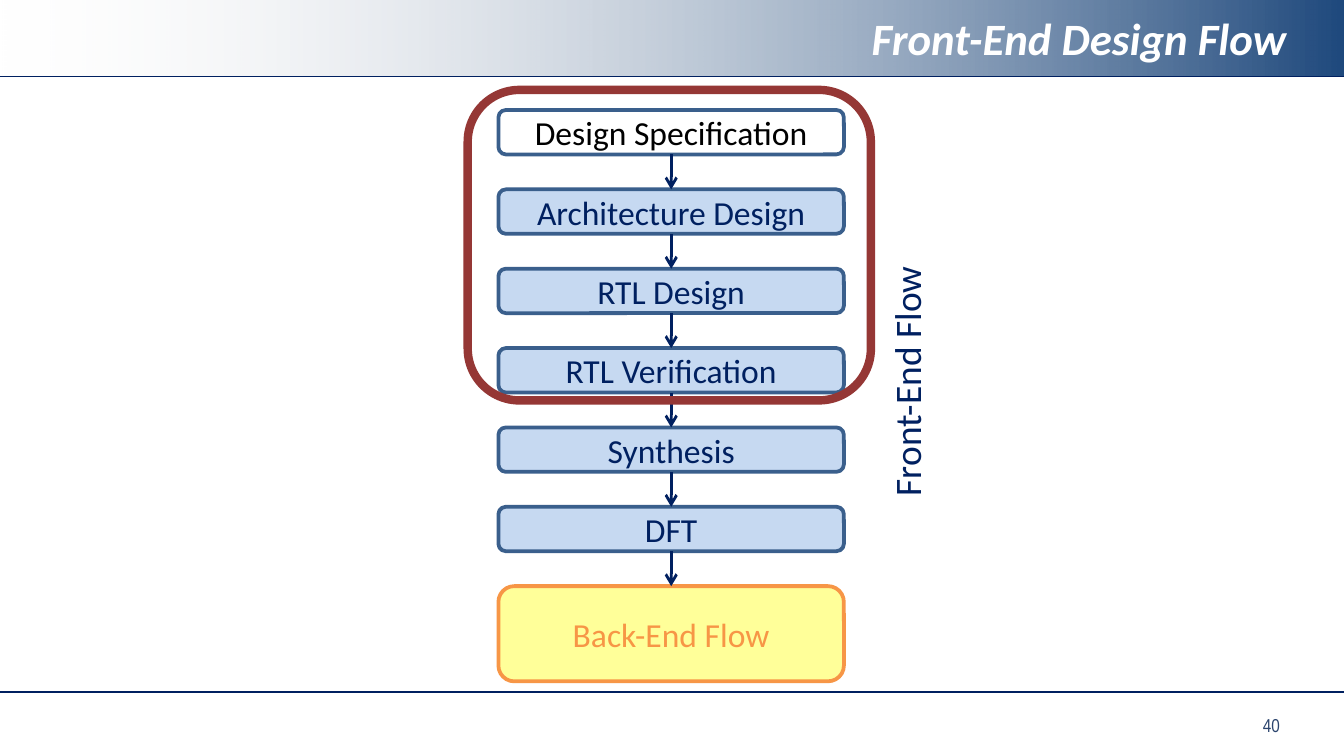
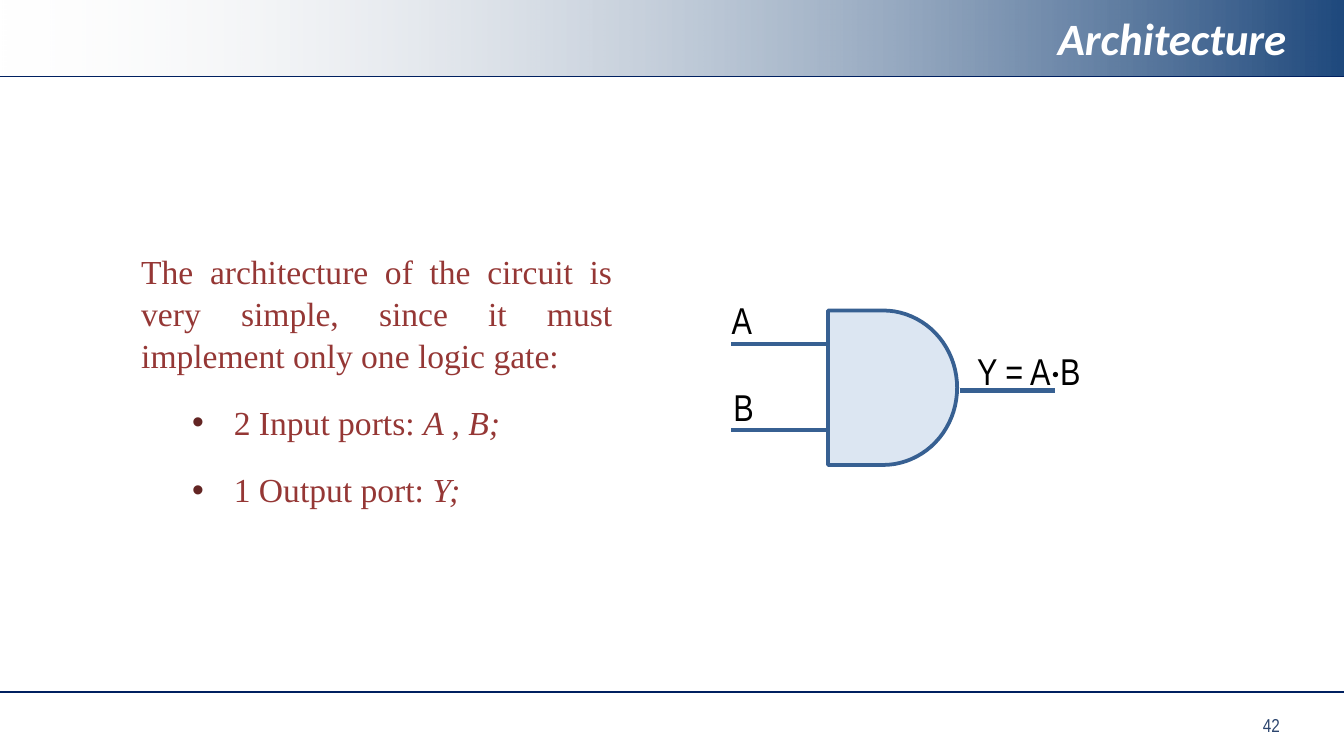
"""Build two slides on the front-end design flow and the architecture of an AND gate."""
import math
from dataclasses import dataclass

import pptx
import pptx.dml.color
import pptx.enum.shapes
import pptx.enum.text
import pptx.oxml.ns
import pptx.util
from lxml import etree

Cm = pptx.util.Cm
Pt = pptx.util.Pt
rgb = pptx.dml.color.RGBColor.from_string
qn = pptx.oxml.ns.qn
Shape = pptx.enum.shapes.MSO_SHAPE
Align = pptx.enum.text.PP_ALIGN
Anchor = pptx.enum.text.MSO_ANCHOR


@dataclass(frozen=True)
class Theme:
    navy: str = "002060"
    white: str = "FFFFFF"
    black: str = "000000"
    band_start: str = "EAEAEA"
    band_end: str = "1F497D"
    number: str = "2C456E"
    step_fill: str = "C6D9F1"
    step_line: str = "3A5F8C"
    back_end_fill: str = "FFFF99"
    back_end_line: str = "F79646"
    red: str = "953735"
    bullet: str = "632523"
    gate_fill: str = "DCE6F2"
    gate_line: str = "376092"
    sans: str = "Calibri"
    narrow: str = "Arial Narrow"
    serif: str = "Times New Roman"
    title_size: float = 24
    label_size: float = 20
    body_size: float = 18
    number_size: float = 10


theme = Theme()


def write(box, text, font=theme.sans, size=theme.body_size, colour=theme.navy,
          bold=False, italic=False, align=Align.LEFT, anchor=Anchor.TOP):
    """Append text to the last paragraph of a box."""
    frame = box.text_frame
    frame.word_wrap = True
    frame.vertical_anchor = anchor
    para = frame.paragraphs[-1]
    para.alignment = align
    span = para.add_run()
    span.text = text
    span.font.name = font
    span.font.size = Pt(size)
    span.font.color.rgb = rgb(colour)
    span.font.bold = bold
    span.font.italic = italic
    return para


def draw_line(page, ends, colour=theme.navy, width=0.75, arrow=False):
    """Draw a straight line between two points given in centimetres."""
    line = page.shapes.add_connector(
        pptx.enum.shapes.MSO_CONNECTOR.STRAIGHT, *map(Cm, ends))
    line.line.color.rgb = rgb(colour)
    line.line.width = Pt(width)
    properties = line.element.spPr
    if arrow:
        etree.SubElement(properties.find(qn("a:ln")), qn("a:tailEnd"), type="arrow")
    etree.SubElement(properties, qn("a:effectLst"))
    return line


deck = pptx.Presentation()
deck.slide_width = Cm(25.4)
deck.slide_height = Cm(14.29)

pages = []
for title, number in [("Front-End Design Flow", "40"), ("Architecture", "42")]:
    page = deck.slides.add_slide(deck.slide_layouts[6])
    pages.append(page)
    band = page.shapes.add_shape(Shape.RECTANGLE, 0, 0, Cm(25.4), Cm(1.45))
    band.shadow.inherit = False
    band.line.fill.background()
    band.fill.gradient()
    band.fill.gradient_angle = 0
    for stop, colour in zip(band.fill.gradient_stops, (theme.band_start, theme.band_end)):
        stop.color.rgb = rgb(colour)
    clear_stop = next(band.element.spPr.iter(qn("a:srgbClr")))
    etree.SubElement(clear_stop, qn("a:alpha"), val="0")
    for y in (1.45, 13.08):
        draw_line(page, (0, y, 25.4, y))
    title_box = page.shapes.add_textbox(Cm(1.27), Cm(0.08), Cm(23.29), Cm(1.27))
    write(title_box, title, size=theme.title_size, colour=theme.white, bold=True,
          italic=True, align=Align.RIGHT, anchor=Anchor.MIDDLE)
    number_box = page.shapes.add_textbox(Cm(23.62), Cm(13.36), Cm(1.4), Cm(0.69))
    write(number_box, number, font=theme.narrow, size=theme.number_size,
          colour=theme.number)

flow_page, gate_page = pages

plain = (0.84, theme.step_fill, theme.step_line, theme.navy)
steps = [
    ("Design Specification", 0.84, theme.white, theme.step_line, theme.black),
    ("Architecture Design", *plain),
    ("RTL Design", *plain),
    ("RTL Verification", *plain),
    ("Synthesis", *plain),
    ("DFT", *plain),
    ("Back-End Flow", 1.8, theme.back_end_fill, theme.back_end_line, theme.back_end_line),
]
step_boxes = []
for index, (name, height, fill, outline, ink) in enumerate(steps):
    box = flow_page.shapes.add_shape(
        Shape.ROUNDED_RECTANGLE, Cm(9.42), Cm(2.08 + 1.5 * index), Cm(6.53), Cm(height))
    box.shadow.inherit = False
    box.fill.solid()
    box.fill.fore_color.rgb = rgb(fill)
    box.line.color.rgb = rgb(outline)
    box.line.width = Pt(2)
    write(box, name, colour=ink, align=Align.CENTER, anchor=Anchor.MIDDLE)
    step_boxes.append(box)

for upper, lower in zip(step_boxes, step_boxes[1:]):
    arrow = draw_line(flow_page, (0, 0, 0, 0), width=1.5, arrow=True)
    arrow.begin_connect(upper, 2)
    arrow.end_connect(lower, 0)

flow_label = flow_page.shapes.add_textbox(Cm(13.94), Cm(6.65), Cm(6.4), Cm(1.12))
flow_label.rotation = 270
write(flow_label, "Front-End Flow", size=theme.label_size, align=Align.CENTER)

front_end_frame = flow_page.shapes.add_shape(
    Shape.ROUNDED_RECTANGLE, Cm(8.84), Cm(1.7), Cm(7.62), Cm(5.87))
front_end_frame.shadow.inherit = False
front_end_frame.fill.background()
front_end_frame.line.color.rgb = rgb(theme.red)
front_end_frame.line.width = Pt(4.5)

body = gate_page.shapes.add_textbox(Cm(2.49), Cm(4.62), Cm(9.27), Cm(5.03))
body.text_frame.margin_left = body.text_frame.margin_right = Cm(0.18)
body.text_frame.margin_top = body.text_frame.margin_bottom = Cm(0.1)
paragraphs = [
    ("The architecture of the circuit is very simple, "
     "since it must implement only one logic gate:", ""),
    ("2 Input ports: ", "A , B;"),
    ("1 Output port: ", "Y;"),
]
for index, (text, ports) in enumerate(paragraphs):
    if index:
        body.text_frame.add_paragraph()
    para = write(body, text, font=theme.serif, colour=theme.red, align=Align.JUSTIFY)
    para.line_spacing = 1.04
    para.space_after = Pt(13.5)
    if ports:
        write(body, ports, font=theme.serif, colour=theme.red, italic=True,
              align=Align.JUSTIFY)
        para.level = 1
        properties = para._p.get_or_add_pPr()
        properties.set("marL", str(Cm(1.75)))
        properties.set("indent", str(-Cm(0.79)))
        bullet_colour = etree.SubElement(properties, qn("a:buClr"))
        etree.SubElement(bullet_colour, qn("a:srgbClr"), val=theme.bullet)
        etree.SubElement(properties, qn("a:buFont"), typeface="Arial")
        etree.SubElement(properties, qn("a:buChar"), char="•")

gate_left, gate_top, gate_bottom = 15.65, 5.87, 8.79
arc_x, arc_width, arc_segments = 16.69, 1.4, 40
arc_height = (gate_bottom - gate_top) / 2
outline = []
for segment in range(arc_segments + 1):
    angle = math.pi * (segment / arc_segments - 0.5)
    outline.append((Cm(arc_x + arc_width * math.cos(angle)),
                    Cm(gate_top + arc_height * (1 + math.sin(angle)))))
outline.append((Cm(gate_left), Cm(gate_bottom)))
builder = gate_page.shapes.build_freeform(Cm(gate_left), Cm(gate_top))
builder.add_line_segments(outline, close=True)
gate = builder.convert_to_shape()
gate.shadow.inherit = False
gate.fill.solid()
gate.fill.fore_color.rgb = rgb(theme.gate_fill)
gate.line.color.rgb = rgb(theme.gate_line)
gate.line.width = Pt(2)

for x, y in [(18.14, 7.38), (13.82, 6.5), (13.82, 8.13)]:
    draw_line(gate_page, (x, y, x + 1.8, y), colour=theme.gate_line, width=2.25)

signals = [
    (17.73, 6.45, 3.43, [("Y = A", theme.narrow), ("·", theme.sans), ("B", theme.narrow)]),
    (12.9, 7.14, 2.31, [("B", theme.narrow)]),
    (13.18, 5.49, 1.68, [("A", theme.narrow)]),
]
for left, top, width, parts in signals:
    signal_box = gate_page.shapes.add_textbox(Cm(left), Cm(top), Cm(width), Cm(1.12))
    for text, font in parts:
        write(signal_box, text, font=font, size=theme.label_size, colour=theme.black,
              align=Align.CENTER)

deck.save("out.pptx")
